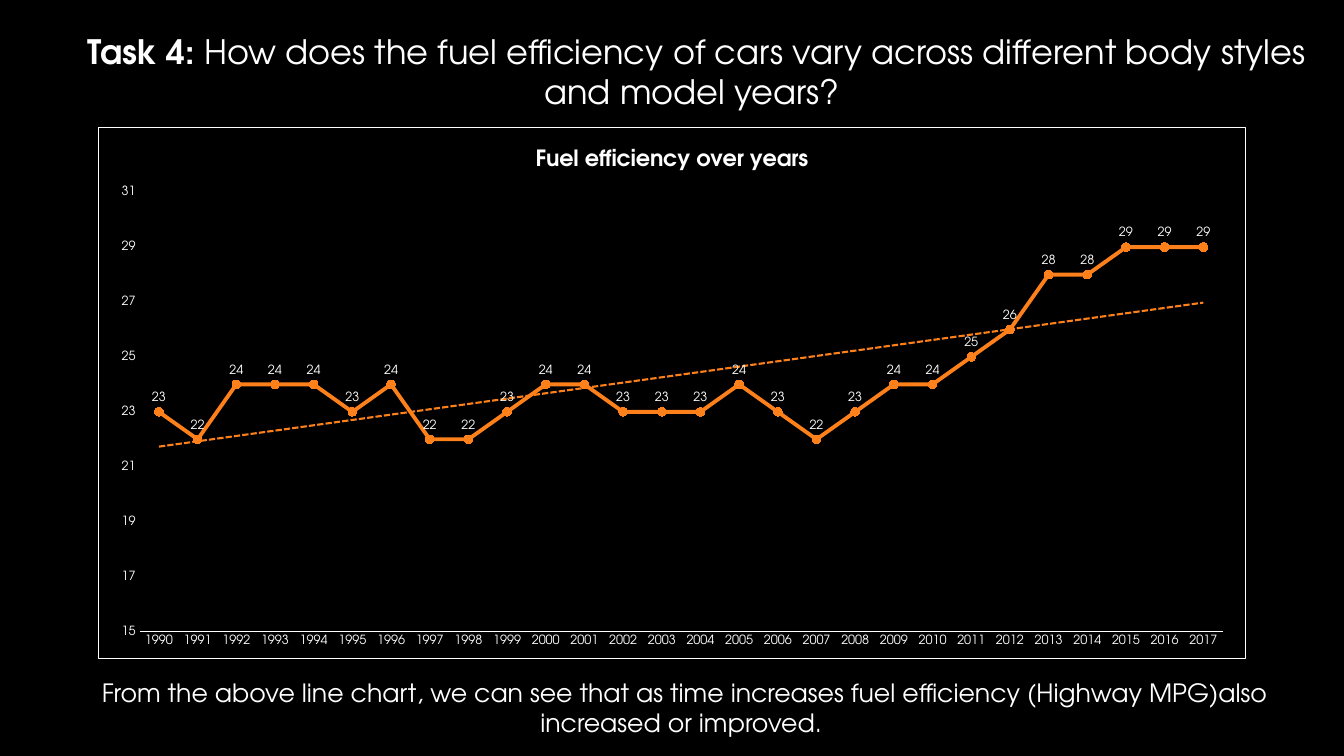
from lxml import etree
from pptx import Presentation
from pptx.chart.data import CategoryChartData
from pptx.dml.color import RGBColor
from pptx.enum.chart import XL_CHART_TYPE, XL_LABEL_POSITION, XL_MARKER_STYLE, XL_TICK_MARK
from pptx.enum.text import MSO_ANCHOR, MSO_AUTO_SIZE, PP_ALIGN
from pptx.util import Inches, Pt

LINE_MARKERS = XL_CHART_TYPE.LINE_MARKERS
ABOVE = XL_LABEL_POSITION.ABOVE
CIRCLE = XL_MARKER_STYLE.CIRCLE
NO_TICK = XL_TICK_MARK.NONE
TOP, MIDDLE = MSO_ANCHOR.TOP, MSO_ANCHOR.MIDDLE
GROW = MSO_AUTO_SIZE.SHAPE_TO_FIT_TEXT
CENTER = PP_ALIGN.CENTER

FONT = "TeX Gyre Adventor"
BLACK, WHITE, ORANGE = "000000", "FFFFFF", "FE801A"
NS = ('xmlns:c="http://schemas.openxmlformats.org/drawingml/2006/chart" '
      'xmlns:a="http://schemas.openxmlformats.org/drawingml/2006/main"')
YEARS = [str(year) for year in range(1990, 2018)]
MPG = [23, 22, 24, 24, 24, 23, 24, 22, 22, 23, 24, 24, 23, 23,
       23, 24, 23, 22, 23, 24, 24, 25, 26, 28, 28, 29, 29, 29]


def rgb(value):
    return RGBColor.from_string(value)


def style(font, size, color=WHITE, bold=False):
    font.name, font.size, font.bold = FONT, Pt(size), bold
    font.color.rgb = rgb(color)


def add_run(p, text, **fmt):
    r = p.add_run()
    r.text = text
    style(r.font, **fmt)


def add_text(s, box, runs, size, anchor=TOP):
    tf = s.shapes.add_textbox(*map(Inches, box)).text_frame
    tf.word_wrap = True
    tf.auto_size = GROW
    tf.vertical_anchor = anchor
    p = tf.paragraphs[0]
    p.alignment = CENTER
    for text, bold in runs:
        add_run(p, text, size=size, bold=bold)


def chart_xml(tag, body):
    return etree.fromstring(f"<c:{tag} {NS}>{body}</c:{tag}>")


def line_xml(color, width, dash="solid"):
    return (f'<a:ln w="{Pt(width)}"><a:solidFill><a:srgbClr val="{color}"/></a:solidFill>'
            f'<a:prstDash val="{dash}"/></a:ln>')


def set_plot_area(chart, x, y, w, h):
    plot_area = chart._chartSpace.chart.plotArea
    for layout in plot_area.xpath("c:layout"):
        plot_area.remove(layout)
    sizes = "".join(f'<c:{k} val="{v}"/>' for k, v in zip("xywh", (x, y, w, h)))
    plot_area.insert(0, chart_xml("layout", (
        '<c:manualLayout><c:layoutTarget val="inner"/><c:xMode val="edge"/>'
        f'<c:yMode val="edge"/>{sizes}</c:manualLayout>')))


def style_axes(chart):
    years, mpg = chart.category_axis, chart.value_axis
    for axis in (years, mpg):
        axis.major_tick_mark = axis.minor_tick_mark = NO_TICK
        axis.has_major_gridlines = False
        style(axis.tick_labels.font, 9)
    years.format.line.color.rgb = rgb(WHITE)
    years.format.line.width = Pt(1)
    mpg.format.line.fill.background()
    mpg.minimum_scale, mpg.maximum_scale, mpg.major_unit = 15, 31, 2
    mpg.tick_labels.number_format = "0"
    mpg.tick_labels.number_format_is_linked = False


def style_series(series):
    series.smooth = False
    series.format.line.color.rgb = rgb(ORANGE)
    series.format.line.width = Pt(2.75)
    marker = series.marker
    marker.style, marker.size = CIRCLE, 6
    marker.format.fill.solid()
    marker.format.fill.fore_color.rgb = rgb(ORANGE)
    marker.format.line.color.rgb = rgb(ORANGE)
    labels = series.data_labels
    labels.show_value = True
    labels.position = ABOVE
    labels.number_format, labels.number_format_is_linked = "0", False
    style(labels.font, 9)
    series._element.xpath("c:cat")[0].addprevious(chart_xml("trendline", (
        f'<c:spPr>{line_xml(ORANGE, 1.5, "sysDash")}</c:spPr>'
        '<c:trendlineType val="linear"/><c:dispRSqr val="0"/><c:dispEq val="0"/>')))


def add_fuel_chart(s, box):
    data = CategoryChartData(number_format="0")
    data.categories = YEARS
    data.add_series("Series 1", MPG)
    chart = s.shapes.add_chart(LINE_MARKERS, *map(Inches, box), data).chart
    style(chart.font, 10)
    chart.has_legend = False
    chart.has_title = True
    add_run(chart.chart_title.text_frame.paragraphs[0],
            "Fuel efficiency over years", size=16, bold=True)
    chart.chart_title.include_in_layout = False
    chart.plots[0].vary_by_categories = False
    style_axes(chart)
    style_series(chart.plots[0].series[0])
    set_plot_area(chart, 0.036, 0.122, 0.944, 0.827)
    chart._chartSpace.chart.addnext(
        chart_xml("spPr", "<a:noFill/>" + line_xml(WHITE, 0.75)))


def build_slide(prs):
    s = prs.slides.add_slide(prs.slide_layouts[6])
    s.background.fill.solid()
    s.background.fill.fore_color.rgb = rgb(BLACK)
    add_text(s, (0.49, 0.25, 12.84, 0.91), [
        ("Task 4:", True),
        (" How does the fuel efficiency of cars vary across different "
         "body styles and model years? ", False)], 24, MIDDLE)
    add_fuel_chart(s, (0.97, 1.26, 11.39, 5.28))
    add_text(s, (0.77, 6.67, 12.04, 0.71), [
        ("From the above line chart, we can see that as time increases fuel "
         "efficiency (Highway MPG)also increased or improved. ", False)], 18)


def main():
    prs = Presentation()
    prs.slide_width, prs.slide_height = Inches(13.33), Inches(7.5)
    build_slide(prs)
    prs.save("out.pptx")


if __name__ == "__main__":
    main()
